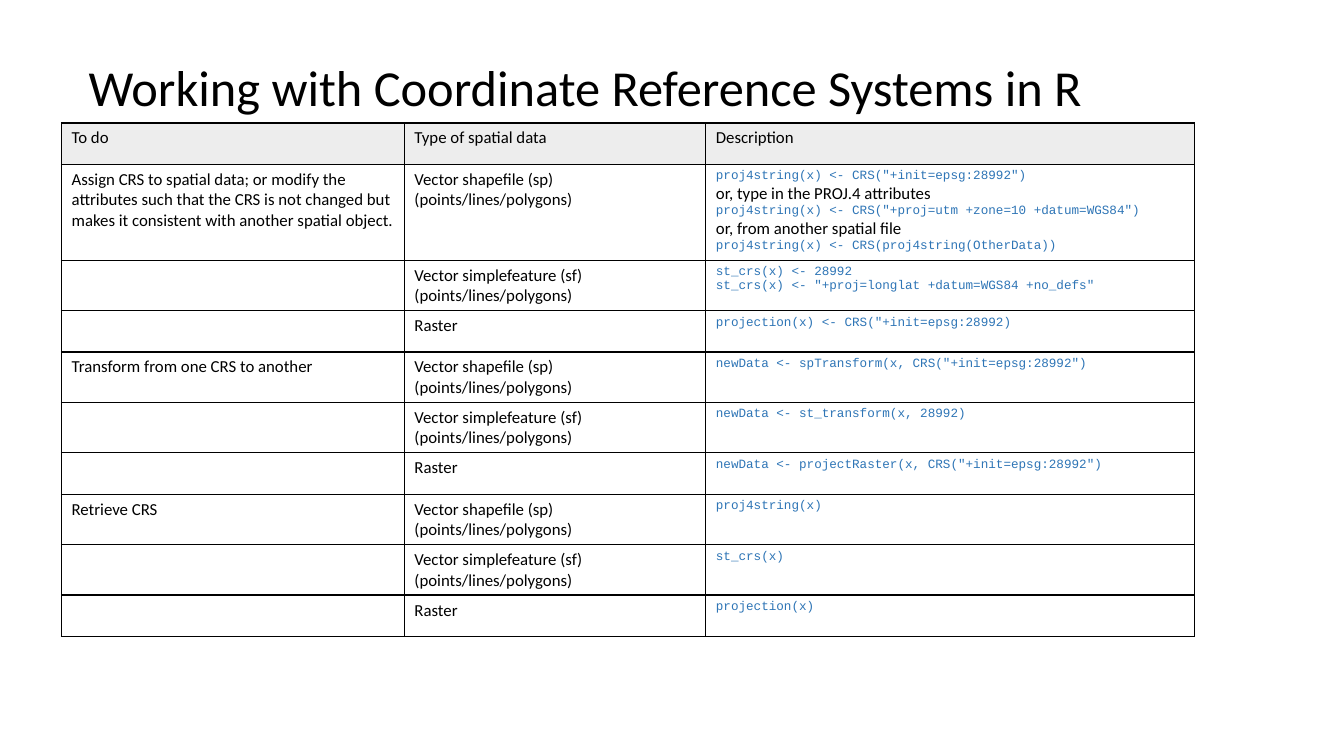
from dataclasses import dataclass

from lxml.etree import SubElement
from pptx import Presentation
from pptx.dml.color import RGBColor
from pptx.enum.text import MSO_ANCHOR, MSO_AUTO_SIZE, PP_ALIGN
from pptx.oxml.ns import qn
from pptx.slide import Slide
from pptx.table import _Cell
from pptx.util import Inches, Pt

SLIDE_WIDTH = Inches(13.33)
SLIDE_HEIGHT = Inches(7.5)


@dataclass(frozen=True)
class TextStyle:
    font: str
    size: int
    color: str


@dataclass(frozen=True)
class Theme:
    title: TextStyle = TextStyle("Calibri", 36, "000000")
    body: TextStyle = TextStyle("Calibri", 12, "000000")
    code: TextStyle = TextStyle("Courier New", 9, "2E75B6")
    header_fill: str = "EDEDED"
    border_color: str = "000000"
    border_width: int = 1


@dataclass(frozen=True)
class Area:
    left: float
    top: float
    width: float
    height: float

    def lengths(self) -> tuple[int, int, int, int]:
        return (
            int(SLIDE_WIDTH * self.left / 100),
            int(SLIDE_HEIGHT * self.top / 100),
            int(SLIDE_WIDTH * self.width / 100),
            int(SLIDE_HEIGHT * self.height / 100),
        )


@dataclass(frozen=True)
class Line:
    text: str
    style: TextStyle


@dataclass(frozen=True)
class Method:
    data_type: tuple[Line, ...]
    description: tuple[Line, ...]


@dataclass(frozen=True)
class Task:
    name: str
    methods: tuple[Method, ...]


THEME = Theme()
TITLE_AREA = Area(5.85, 6.8, 76.97, 9.47)
TABLE_AREA = Area(4.58, 16.27, 84.32, 54.67)
COLUMN_SHARES = (30.25, 26.6, 43.15)


def body(text: str) -> Line:
    return Line(text, THEME.body)


def code(text: str) -> Line:
    return Line(text, THEME.code)


GEOMETRIES = body("(points/lines/polygons)")
SHAPEFILE = (body("Vector shapefile (sp)"), GEOMETRIES)
SIMPLE_FEATURE = (body("Vector simplefeature (sf)"), GEOMETRIES)
RASTER = (body("Raster"),)

HEADERS = ("To do", "Type of spatial data", "Description")
TASKS = (
    Task(
        "Assign CRS to spatial data; or modify the attributes such that the CRS "
        "is not changed but makes it consistent with another spatial object.",
        (
            Method(SHAPEFILE, (
                code('proj4string(x) <- CRS("+init=epsg:28992")'),
                body("or, type in the PROJ.4 attributes"),
                code('proj4string(x) <- CRS("+proj=utm +zone=10 +datum=WGS84")'),
                body("or, from another spatial file"),
                code("proj4string(x) <- CRS(proj4string(OtherData))"),
            )),
            Method(SIMPLE_FEATURE, (
                code("st_crs(x) <- 28992"),
                code('st_crs(x) <- "+proj=longlat +datum=WGS84 +no_defs"'),
            )),
            Method(RASTER, (code('projection(x) <- CRS("+init=epsg:28992)'),)),
        ),
    ),
    Task(
        "Transform from one CRS to another",
        (
            Method(SHAPEFILE, (code('newData <- spTransform(x, CRS("+init=epsg:28992")'),)),
            Method(SIMPLE_FEATURE, (code("newData <- st_transform(x, 28992)"),)),
            Method(RASTER, (code('newData <- projectRaster(x, CRS("+init=epsg:28992")'),)),
        ),
    ),
    Task(
        "Retrieve CRS",
        (
            Method(SHAPEFILE, (code("proj4string(x)"),)),
            Method(SIMPLE_FEATURE, (code("st_crs(x)"),)),
            Method(RASTER, (code("projection(x)"),)),
        ),
    ),
)


def write_lines(text_frame, lines: tuple[Line, ...]) -> None:
    for index, line in enumerate(lines):
        paragraph = text_frame.add_paragraph() if index else text_frame.paragraphs[0]
        paragraph.text = line.text
        paragraph.alignment = PP_ALIGN.LEFT
        paragraph.font.name = line.style.font
        paragraph.font.size = Pt(line.style.size)
        paragraph.font.color.rgb = RGBColor.from_string(line.style.color)


def draw_borders(cell: _Cell) -> None:
    properties = cell._tc.get_or_add_tcPr()
    for side in ("a:lnL", "a:lnR", "a:lnT", "a:lnB"):
        border = SubElement(properties, qn(side), w=str(Pt(THEME.border_width)))
        fill = SubElement(border, qn("a:solidFill"))
        SubElement(fill, qn("a:srgbClr"), val=THEME.border_color)


def draw_cell(cell: _Cell, lines: tuple[Line, ...], is_header: bool) -> None:
    draw_borders(cell)
    if is_header:
        cell.fill.solid()
        cell.fill.fore_color.rgb = RGBColor.from_string(THEME.header_fill)
    else:
        cell.fill.background()
    write_lines(cell.text_frame, lines)


def draw_title(slide: Slide, text: str) -> None:
    title = slide.shapes.title
    title.left, title.top, title.width, title.height = TITLE_AREA.lengths()
    title.text_frame.word_wrap = True
    title.text_frame.auto_size = MSO_AUTO_SIZE.SHAPE_TO_FIT_TEXT
    title.text_frame.vertical_anchor = MSO_ANCHOR.TOP
    write_lines(title.text_frame, (Line(text, THEME.title),))


def table_rows() -> list[tuple[tuple[Line, ...], ...]]:
    rows = [tuple((body(header),) for header in HEADERS)]
    for task in TASKS:
        for index, method in enumerate(task.methods):
            name = "" if index else task.name
            rows.append(((body(name),), method.data_type, method.description))
    return rows


def draw_table(slide: Slide) -> None:
    rows = table_rows()
    area = TABLE_AREA.lengths()
    table = slide.shapes.add_table(len(rows), len(HEADERS), *area).table
    table.first_row = False
    table.horz_banding = False
    for column, share in zip(table.columns, COLUMN_SHARES):
        column.width = int(area[2] * share / 100)
    for row_index, row in enumerate(rows):
        for column_index, lines in enumerate(row):
            draw_cell(table.cell(row_index, column_index), lines, row_index == 0)


def main() -> None:
    presentation = Presentation()
    presentation.slide_width = SLIDE_WIDTH
    presentation.slide_height = SLIDE_HEIGHT
    slide = presentation.slides.add_slide(presentation.slide_layouts[5])
    draw_title(slide, "Working with Coordinate Reference Systems in R")
    draw_table(slide)
    presentation.save("out.pptx")


if __name__ == "__main__":
    main()
